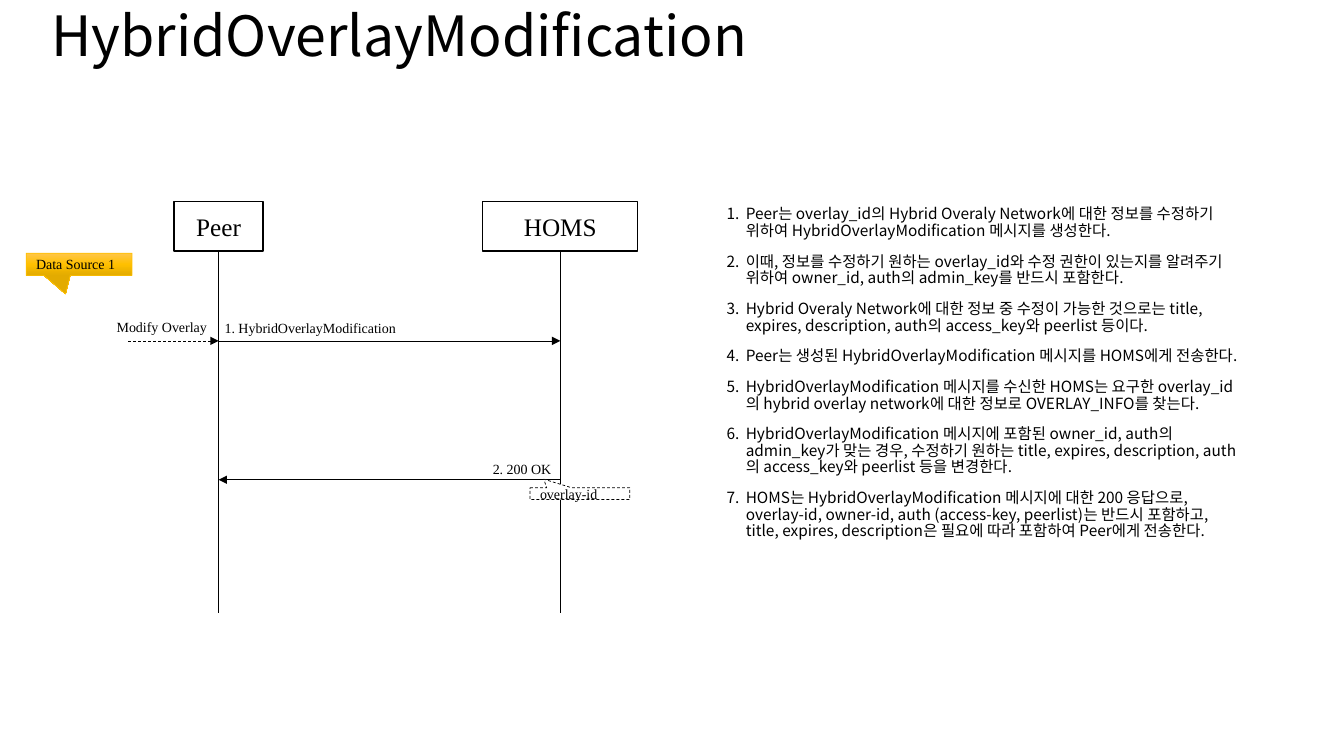
import copy

import pptx
import pptx.dml.color
import pptx.enum.dml
import pptx.enum.shapes
import pptx.enum.text
import pptx.oxml
import pptx.oxml.ns
import pptx.util

Cm = pptx.util.Cm
Pt = pptx.util.Pt
SHAPE = pptx.enum.shapes.MSO_SHAPE
ALIGN = pptx.enum.text.PP_ALIGN
ANCHOR = pptx.enum.text.MSO_ANCHOR
DASH = pptx.enum.dml.MSO_LINE.DASH
SANS, SERIF = "Noto Sans CJK KR", "Times New Roman"


def rgb(value):
    return pptx.dml.color.RGBColor.from_string(value)


def write(p, text, font, size):
    r = p.add_run()
    r.text = text
    for name, value in {"name": font, "size": Pt(size), "bold": False}.items():
        setattr(r.font, name, value)
    r.font.color.rgb = rgb("000000")
    ea = pptx.oxml.parse_xml(f'<a:ea {pptx.oxml.ns.nsdecls("a")} typeface="{font}"/>')
    r.font._element.append(ea)


prs = pptx.Presentation()
prs.slide_width, prs.slide_height = Cm(33.87), Cm(19.05)
s = prs.slides.add_slide(prs.slide_layouts[1])
title, body = s.placeholders

# Title and body frames
frames = [
    (title, (1.04, 0.05, 31.67, 1.83), ANCHOR.MIDDLE),
    (body, (18.06, 5.08, 13.49, 12.09), ANCHOR.TOP),
]
for sp, box, anchor in frames:
    sp.left, sp.top, sp.width, sp.height = map(Cm, box)
    fmt = {"word_wrap": True, "vertical_anchor": anchor,
           "auto_size": pptx.enum.text.MSO_AUTO_SIZE.NONE}
    for name, value in fmt.items():
        setattr(sp.text_frame, name, value)

p = title.text_frame.paragraphs[0]
p.alignment, p.line_spacing = ALIGN.LEFT, 0.9
write(p, "HybridOverlayModification", SANS, 39.6)

# Numbered steps
steps = [
    "Peer는 overlay_id의 Hybrid Overaly Network에 대한 정보를 수정하기 위하여 HybridOverlayModification 메시지를 생성한다.",
    "이때, 정보를 수정하기 원하는 overlay_id와 수정 권한이 있는지를 알려주기 위하여 owner_id, auth의 admin_key를 반드시 포함한다.",
    "Hybrid Overaly Network에 대한 정보 중 수정이 가능한 것으로는 title, expires, description, auth의 access_key와 peerlist 등이다.",
    "Peer는 생성된 HybridOverlayModification 메시지를 HOMS에게 전송한다.",
    "HybridOverlayModification 메시지를 수신한 HOMS는 요구한 overlay_id 의 hybrid overlay network에 대한 정보로 OVERLAY_INFO를 찾는다.",
    "HybridOverlayModification 메시지에 포함된 owner_id, auth의 admin_key가 맞는 경우, 수정하기 원하는 title, expires, description, auth의 access_key와 peerlist 등을 변경한다.",
    "HOMS는 HybridOverlayModification 메시지에 대한 200 응답으로, overlay-id, owner-id, auth (access-key, peerlist)는 반드시 포함하고, title, expires, description은 필요에 따라 포함하여 Peer에게 전송한다.",
]
tf = body.text_frame
for i, step in enumerate(steps):
    p = tf.add_paragraph() if i else tf.paragraphs[0]
    pPr = p._p.get_or_add_pPr()
    pPr.set("marL", str(Cm(0.48)))
    pPr.set("indent", str(-Cm(0.48)))
    pPr.append(pptx.oxml.parse_xml(
        f'<a:buAutoNum {pptx.oxml.ns.nsdecls("a")} type="arabicPeriod"/>'))
    p.line_spacing, p.space_before = 0.9, Pt(10 if i else 0)
    write(p, step, SANS, 11)

# Participants
top, box_h, life_end = 5.08, 1.25, 15.44
peer_x, homs_x = 5.51, 14.12
participants = {}
for name, x, w in [("HOMS", homs_x, 3.91), ("Peer", peer_x, 2.24)]:
    sp = s.shapes.add_shape(SHAPE.RECTANGLE, Cm(x - w / 2), Cm(top), Cm(w), Cm(box_h))
    sp.shadow.inherit = False
    sp.fill.background()
    sp.line.color.rgb, sp.line.width = rgb("000000"), Pt(1)
    sp.text_frame.vertical_anchor = ANCHOR.MIDDLE
    p = sp.text_frame.paragraphs[0]
    p.alignment = ALIGN.CENTER
    write(p, name, SERIF, 18)
    participants[name] = sp

# Lifelines and messages: start, end, dash, arrow, participant above
call_y, reply_y = 8.59, 12.09
lines = [
    ((homs_x, top + box_h), (homs_x, life_end), None, False, "HOMS"),
    ((peer_x, top + box_h), (peer_x, life_end), None, False, "Peer"),
    ((peer_x, call_y), (homs_x, call_y), None, True, None),
    ((homs_x, reply_y), (peer_x, reply_y), None, True, None),
    ((3.23, call_y), (peer_x, call_y), DASH, True, None),
]
for start, end, dash, arrow, owner in lines:
    c = s.shapes.add_connector(pptx.enum.shapes.MSO_CONNECTOR.STRAIGHT,
                               *map(Cm, start + end))
    for name, value in {"width": Pt(0.5), "dash_style": dash}.items():
        setattr(c.line, name, value)
    c.line.color.rgb = rgb("000000")
    if arrow:
        c.line._get_or_add_ln().append(pptx.oxml.parse_xml(
            f'<a:tailEnd {pptx.oxml.ns.nsdecls("a")} type="triangle"/>'))
    c._element.spPr.append(pptx.oxml.parse_xml(
        f'<a:effectLst {pptx.oxml.ns.nsdecls("a")}/>'))
    if owner:
        c.begin_connect(participants[owner], 2)

# Message labels
labels = [
    ("Modify Overlay", 2.69, 7.9, 3.4),
    ("1. HybridOverlayModification", 5.41, 7.92, 5.21),
    ("2. 200 OK", 12.17, 11.48, 2.01),
]
for text, x, y, w in labels:
    tf = s.shapes.add_textbox(Cm(x), Cm(y), Cm(w), Cm(0.69)).text_frame
    tf.word_wrap = True
    write(tf.paragraphs[0], text, SERIF, 10)

# Callouts
callouts = [
    ("Data Source 1", (0.66, 6.38, 2.67, 0.56), (-0.128, 1.342),
     ["FFC64B", "FFC000", "E3AB00"], "FFC000", None),
    ("overlay-id", (13.36, 12.29, 2.51, 0.3), (-0.362, -1.216),
     ["FFFFFF"], "000000", DASH),
]
for text, box, tip, colors, line, dash in callouts:
    sp = s.shapes.add_shape(SHAPE.RECTANGULAR_CALLOUT, *map(Cm, box))
    sp.adjustments[0], sp.adjustments[1] = tip
    sp.shadow.inherit = False
    if len(colors) > 1:
        sp.fill.gradient()
        sp.fill.gradient_angle = 270
        stops = sp._element.spPr.find(".//" + pptx.oxml.ns.qn("a:gsLst"))
        stops.insert(1, copy.deepcopy(stops[0]))
        for i, (stop, color) in enumerate(zip(sp.fill.gradient_stops, colors)):
            stop.position, stop.color.rgb = i / 2, rgb(color)
    else:
        sp.fill.solid()
        sp.fill.fore_color.rgb = rgb(colors[0])
    sp.line.color.rgb = rgb(line)
    sp.line.width, sp.line.dash_style = Pt(0.5), dash
    sp.text_frame.vertical_anchor = ANCHOR.MIDDLE
    p = sp.text_frame.paragraphs[0]
    p.alignment = ALIGN.LEFT
    write(p, text, SERIF, 10)

prs.save("out.pptx")
